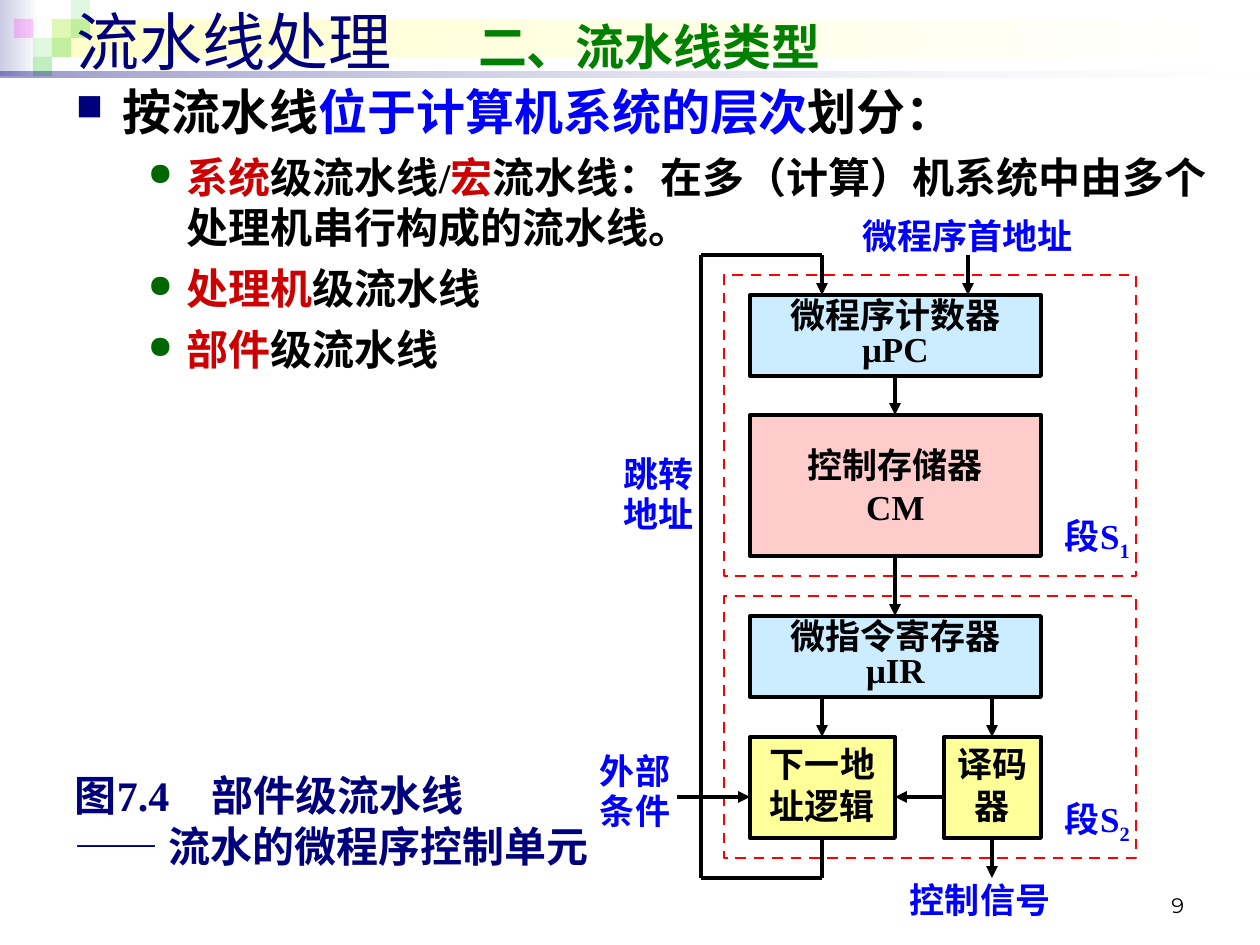
from lxml import etree
from pptx import Presentation
from pptx import util as u
from pptx.dml.color import RGBColor
from pptx.enum import dml, shapes, text
from pptx.oxml import ns

HUES = {
    "black": "000000", "white": "FFFFFF", "navy": "00007D", "blue": "0000FF",
    "red": "FF0000", "crimson": "CC0000", "green": "008000", "moss": "006600",
    "lilac": "CCCCE6", "cream": "FFFFCC", "lime": "33CC33", "pink": "FF00FF",
    "sky": "CCECFF", "rose": "FFCCCC", "lemon": "FFFF99",
}
SCALE = 914400 / 126
MID, TOP = text.MSO_ANCHOR.MIDDLE, text.MSO_ANCHOR.TOP
CENTER, LEFT = text.PP_ALIGN.CENTER, text.PP_ALIGN.LEFT
FULL, RIGHT = text.PP_ALIGN.JUSTIFY, text.PP_ALIGN.RIGHT


def px(n):
    return u.Emu(round(n * SCALE))


def hue(name):
    return RGBColor.from_string(HUES[name])


def add(node, tag, **attrs):
    return etree.SubElement(node, ns.qn(tag), attrs)


def assign(target, values):
    for key, value in values.items():
        setattr(target, key, value)


class Deck:
    def __init__(self, width, height):
        self.file = Presentation()
        assign(self.file, {"slide_width": px(width), "slide_height": px(height)})
        self.slide = self.file.slides.add_slide(self.file.slide_layouts[6])
        self.style = {"name": "Times New Roman", "size": 20, "bold": True, "hue": "black"}

    def rect(self, area, fill=None, line=None, weight=2.25, dash=None):
        shape = self.slide.shapes.add_shape(shapes.MSO_SHAPE.RECTANGLE, *map(px, area))
        shape.shadow.inherit = False
        if fill:
            shape.fill.solid()
            shape.fill.fore_color.rgb = hue(fill)
        else:
            shape.fill.background()
        if line:
            shape.line.color.rgb = hue(line)
            assign(shape.line, {"width": u.Pt(weight), "dash_style": dash})
        else:
            shape.line.fill.background()
        return shape

    def fade(self, shape, alphas):
        colors = shape._element.spPr.findall(".//" + ns.qn("a:srgbClr"))
        for color, alpha in zip(colors, alphas):
            add(color, "a:alpha", val=str(alpha * 1000))

    def tile(self, area, fill, alpha):
        self.fade(self.rect(area, fill), [alpha])

    def blend(self, area, start, alphas=()):
        shape = self.rect(area)
        shape.fill.gradient()
        shape.fill.gradient_angle = 0
        for stop, name in zip(shape.fill.gradient_stops, (start, "white")):
            stop.color.rgb = hue(name)
        self.fade(shape, alphas)

    def put(self, shape, paras, anchor=TOP, inset=(13, 6), wrap=True, **form):
        frame = shape.text_frame
        side, edge = map(px, inset)
        assign(frame, {"word_wrap": wrap, "vertical_anchor": anchor,
                       "margin_left": side, "margin_right": side,
                       "margin_top": edge, "margin_bottom": edge})
        for i, runs in enumerate(paras):
            para = frame.add_paragraph() if i else frame.paragraphs[0]
            self.fill(para, runs, **form)
        return frame

    def fill(self, para, runs, align=CENTER, space=None, before=0, tab=None, bullet=None, **font):
        assign(para, {"alignment": align, "line_spacing": space, "space_before": u.Pt(before)})
        props = para._p.get_or_add_pPr()
        if bullet:
            mark, name, left, hang = bullet
            props.set("marL", str(px(left)))
            props.set("indent", str(px(-hang)))
            add(add(props, "a:buClr"), "a:srgbClr", val=HUES[name])
            add(props, "a:buSzPct", val="75000")
            add(props, "a:buChar", char=mark)
        if tab:
            add(add(props, "a:tabLst"), "a:tab", pos=str(px(tab)), algn="l")
        for words, extra in runs:
            look = {**self.style, **font, **extra}
            run = para.add_run()
            run.text = words
            assign(run.font, {"name": look["name"], "size": u.Pt(look["size"]), "bold": look["bold"]})
            run.font.color.rgb = hue(look["hue"])
            if "base" in look:
                run._r.get_or_add_rPr().set("baseline", str(look["base"] * 1000))

    def box(self, area, fill, lines, **form):
        self.put(self.rect(area, fill, "black"), [[(line, {})] for line in lines], **form)

    def words(self, area, paras, **form):
        return self.put(self.slide.shapes.add_textbox(*map(px, area)), paras, **form)

    def label(self, area, *lines, **form):
        paras = [line if isinstance(line, list) else [(line, {})] for line in lines]
        frame = self.words(area, paras, inset=(0, 0), **{"align": FULL, "hue": "blue", **form})
        frame.auto_size = text.MSO_AUTO_SIZE.SHAPE_TO_FIT_TEXT

    def route(self, *points):
        for start, end in zip(points, points[1:]):
            link = self.slide.shapes.add_connector(
                shapes.MSO_CONNECTOR.STRAIGHT, *map(px, start + end))
            link.line.color.rgb = hue("black")
            link.line.width = u.Pt(2.25)
            props = link._element.spPr
            if end == points[-1]:
                add(props.find(ns.qn("a:ln")), "a:tailEnd", type="triangle")
            add(props, "a:effectLst")


def frame(deck):
    deck.blend((0, 0, 39, 76), "lilac")
    deck.blend((52, 19, 1203, 38), "cream")
    for col, row, name, alpha in [(2, 1, "lime", 15), (3, 0, "lime", 15), (3, 1, "lime", 30),
                                  (1, 2, "lime", 15), (0, 1, "pink", 20), (2, 2, "lime", 30),
                                  (1, 3, "lime", 30)]:
        deck.tile((14 + 19 * col, 19 * row, 19, 19), name, alpha)
    deck.blend((0, 72, 1260, 6), "navy", (40, 10))
    deck.words((903, 861, 294, 63), [[("9", {})]], anchor=text.MSO_ANCHOR.BOTTOM,
               align=RIGHT, name="Montserrat", size=12, bold=False)
    deck.words((64, -4, 1181, 89),
               [[("流水线处理\t", {"size": 36, "bold": False, "hue": "navy"}),
                 ("二、流水线类型", {"hue": "green"})]],
               anchor=MID, align=LEFT, tab=401, name="Arial", size=28)


def outline(deck):
    blue, red = {"hue": "blue"}, {"hue": "crimson"}
    body = deck.words((63, 76, 1182, 300),
                      [[("按流水线", {}), ("位于计算机系统的层次", blue), ("划分：", {})]],
                      align=LEFT, size=28, bullet=("■", "navy", 47, 47))
    for runs in [[("系统", red), ("级流水线/", {}), ("宏", red),
                  ("流水线：在多（计算）机系统中由多个处理机串行构成的流水线。", {})],
                 [("处理机", red), ("级流水线", {})],
                 [("部件", red), ("级流水线", {})]]:
        deck.fill(body.add_paragraph(), runs, align=LEFT, size=24, before=6,
                  bullet=("●", "moss", 111, 39))


def diagram(deck):
    dash = dml.MSO_LINE.DASH
    left, mid, right = 822, 895, 992
    for n, top, height, base in [("1", 275, 301, 515), ("2", 596, 262, 798)]:
        deck.rect((724, top, 412, height), line="red", weight=1.5, dash=dash)
        deck.label((1065, base, 86, 48), [("段S", {}), (n, {"base": -25})])
    for top, lines in [(295, ("微程序计数器", "μPC")), (616, ("微指令寄存器", "μIR"))]:
        deck.box((750, top, 291, 81), "sky", lines, anchor=MID, space=0.8)
    deck.box((750, 415, 291, 141), "rose", ("控制存储器", "CM"), anchor=MID)
    deck.box((750, 737, 145, 101), "lemon", ("下一地址逻辑",))
    deck.box((944, 737, 97, 101), "lemon", ("译码", "器"), wrap=False)

    deck.label((862, 214, 236, 42), "微程序首地址")
    deck.label((624, 455, 87, 81), "跳转", "地址", space=0.96)
    deck.label((600, 752, 83, 81), "外部", "条件", space=0.96)
    deck.label((910, 878, 161, 42), "控制信号")
    deck.label((75, 770, 556, 101), "图7.4\t部件级流水线", "—— 流水的微程序控制单元",
               hue="navy", size=24, tab=137)

    for x, start, end in [(968, 255, 295), (mid, 375, 415), (mid, 556, 616),
                          (left, 697, 737), (right, 697, 737), (right, 838, 878)]:
        deck.route((x, start), (x, end))
    deck.route((677, 797), (750, 797))
    deck.route((944, 797), (mid, 797))
    deck.route((left, 838), (left, 878), (701, 878), (701, 255), (left, 255), (left, 295))


def main():
    deck = Deck(1260, 945)
    frame(deck)
    outline(deck)
    diagram(deck)
    deck.file.save("out.pptx")


if __name__ == "__main__":
    main()
